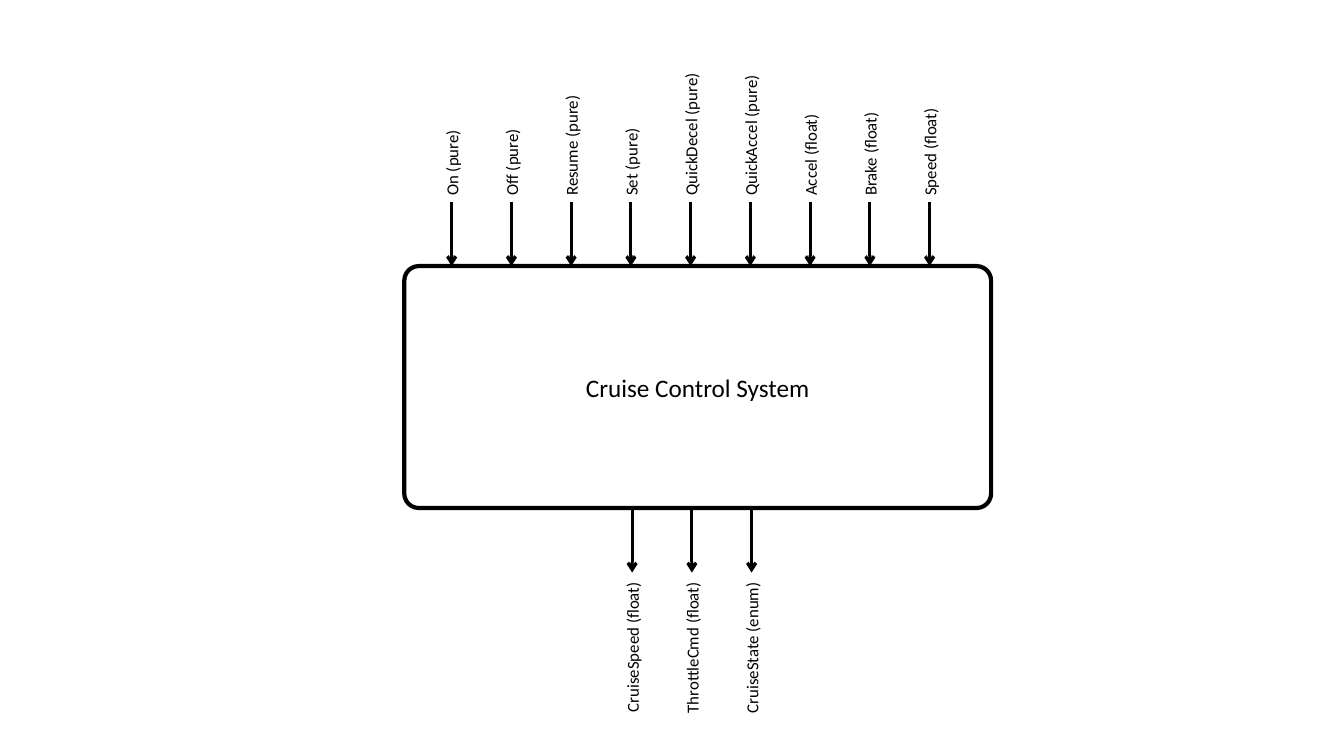
from lxml import etree
from pptx import Presentation
from pptx import util as u
from pptx.dml.color import RGBColor
from pptx.enum import shapes, text
from pptx.oxml import ns

BLACK = RGBColor(0x00, 0x00, 0x00)
WHITE = RGBColor(0xFF, 0xFF, 0xFF)
BLANK_LAYOUT = 6

INPUTS = ["On (pure)", "Off (pure)", "Resume (pure)", "Set (pure)",
          "QuickDecel (pure)", "QuickAccel (pure)", "Accel (float)",
          "Brake (float)", "Speed (float)"]
OUTPUTS = ["CruiseSpeed (float)", "ThrottleCmd (float)", "CruiseState (enum)"]
PITCH = u.Inches(4.74) / 8
ARROW_LENGTH = u.Inches(0.64)
LABEL_HEIGHT = u.Inches(0.3)


def apply(target, formats):
    for name, value in formats.items():
        setattr(target, name, value)


def write(frame, wording, size, align, frame_formats):
    apply(frame, frame_formats)
    paragraph = frame.paragraphs[0]
    paragraph.alignment = align
    run = paragraph.add_run()
    run.text = wording
    apply(run.font, {"size": u.Pt(size), "name": "Calibri"})
    run.font.color.rgb = BLACK


def add_system(diagram, left, top, width, height):
    system = diagram.add_shape(
        shapes.MSO_SHAPE.ROUNDED_RECTANGLE, left, top, width, height)
    system.adjustments[0] = 0.06
    system.shadow.inherit = False
    system.fill.solid()
    system.fill.fore_color.rgb = WHITE
    system.line.color.rgb = BLACK
    system.line.width = u.Pt(3)
    write(system.text_frame, "Cruise Control System", 18, text.PP_ALIGN.CENTER,
          {"vertical_anchor": text.MSO_ANCHOR.MIDDLE})


def add_arrow(diagram, x, top):
    arrow = diagram.add_connector(
        shapes.MSO_CONNECTOR.STRAIGHT, x, top, x, top + ARROW_LENGTH)
    arrow.line.color.rgb = BLACK
    arrow.line.width = u.Pt(2.25)
    etree.SubElement(arrow.line._get_or_add_ln(), ns.qn("a:tailEnd"), type="arrow")
    etree.SubElement(arrow._element.spPr, ns.qn("a:effectLst"))


def add_label(diagram, wording, x, middle, length, align):
    label = diagram.add_textbox(
        round(x - length / 2), round(middle - LABEL_HEIGHT / 2), length, LABEL_HEIGHT)
    label.rotation = 270
    write(label.text_frame, wording, 12, align,
          {"word_wrap": True, "auto_size": text.MSO_AUTO_SIZE.SHAPE_TO_FIT_TEXT})


def add_signals(diagram, names, first_x, arrow_top, label_middle, label_length, align):
    for index, name in enumerate(names):
        x = round(first_x + index * PITCH)
        add_arrow(diagram, x, arrow_top)
        add_label(diagram, name, x, label_middle, label_length, align)


def add_cruise_diagram(slide, left, top, width, height):
    diagram = slide.shapes.add_group_shape().shapes
    add_system(diagram, left, top, width, height)
    add_signals(diagram, INPUTS, left + u.Inches(0.47), top - ARROW_LENGTH,
                top - u.Inches(1.49), u.Inches(1.78), text.PP_ALIGN.LEFT)
    bottom = top + height
    add_signals(diagram, OUTPUTS, left + u.Inches(2.26), bottom,
                bottom + u.Inches(1.42), u.Inches(1.56), text.PP_ALIGN.RIGHT)


deck = Presentation()
apply(deck, {"slide_width": u.Inches(13.33), "slide_height": u.Inches(7.5)})
cruise_slide = deck.slides.add_slide(deck.slide_layouts[BLANK_LAYOUT])
add_cruise_diagram(cruise_slide, u.Inches(4.01), u.Inches(2.64),
                   u.Inches(5.82), u.Inches(2.4))
deck.save("out.pptx")
